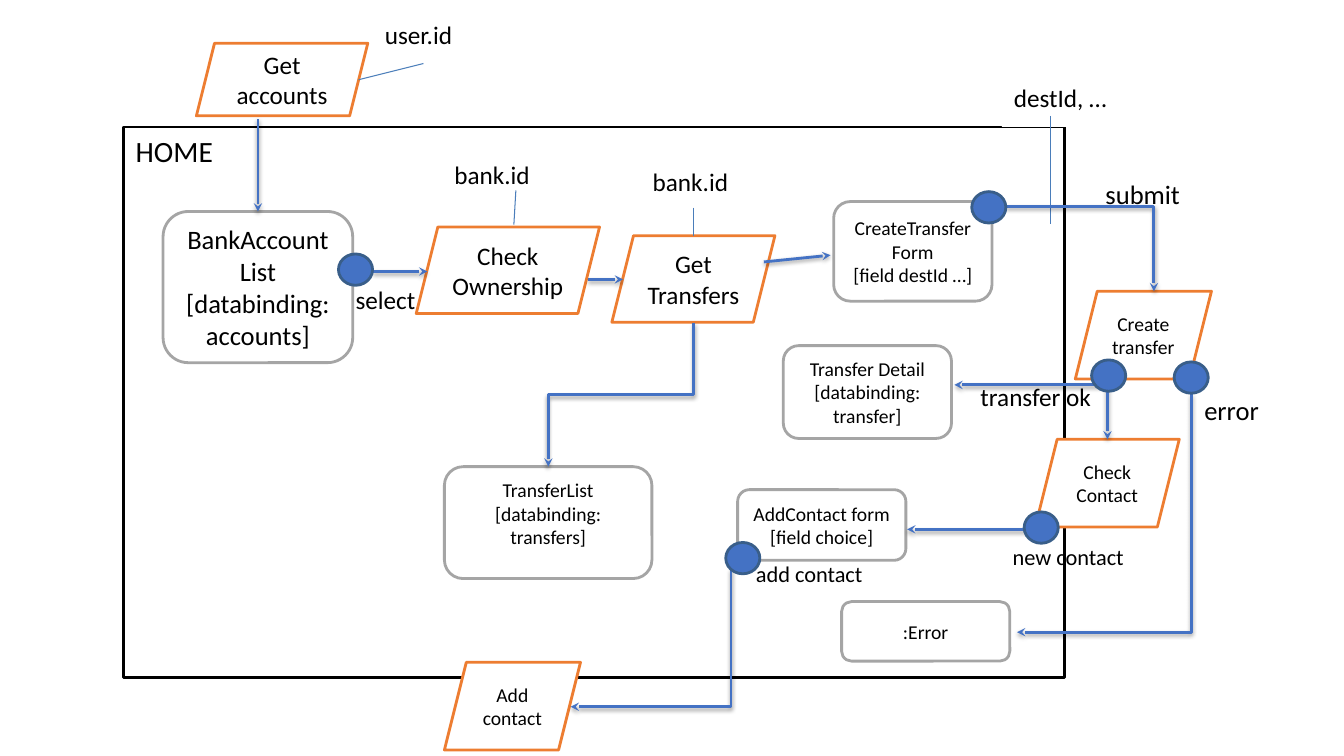
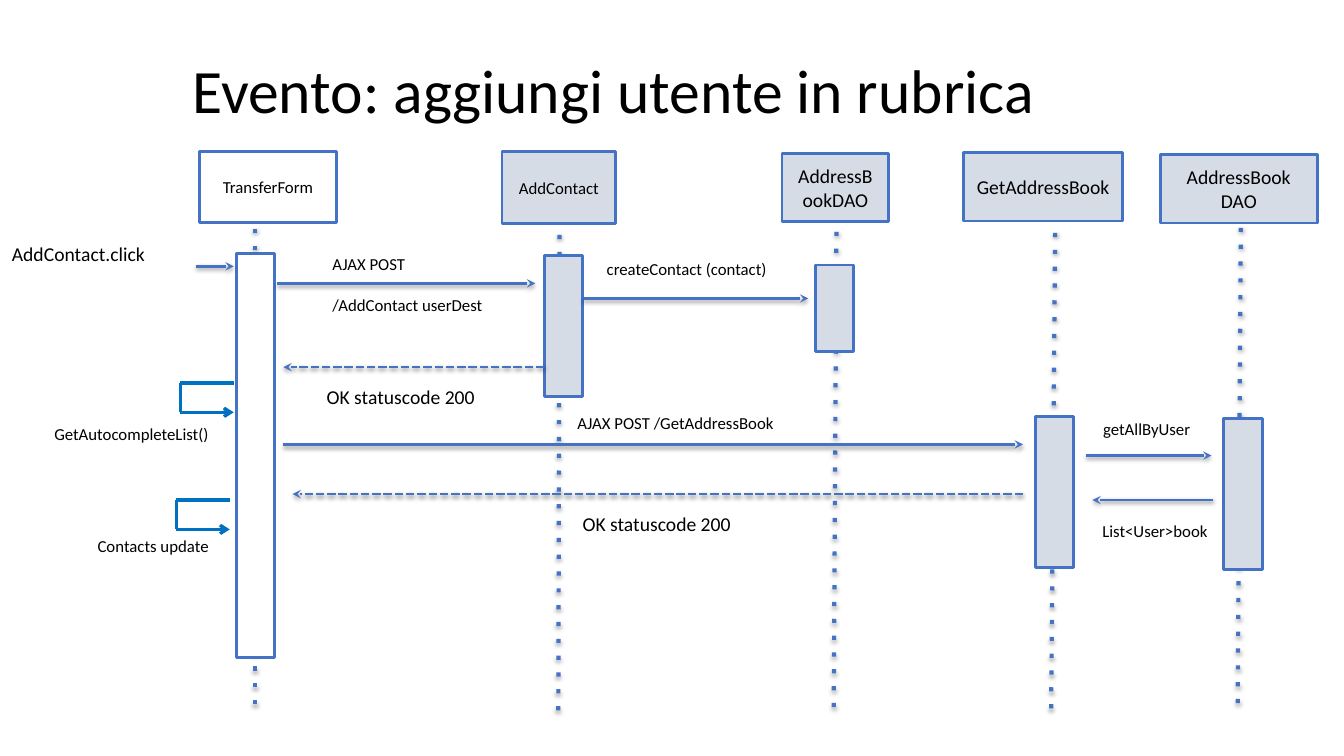
from lxml import etree
from pptx import Presentation
from pptx.dml.color import RGBColor
from pptx.enum.shapes import MSO_CONNECTOR, MSO_SHAPE
from pptx.enum.text import MSO_ANCHOR, PP_ALIGN
from pptx.oxml.ns import qn
from pptx.util import Cm, Pt

RECT, ROUNDED = MSO_SHAPE.RECTANGLE, MSO_SHAPE.ROUNDED_RECTANGLE
SLANTED, OVAL = MSO_SHAPE.PARALLELOGRAM, MSO_SHAPE.OVAL
STRAIGHT, ELBOW = MSO_CONNECTOR.STRAIGHT, MSO_CONNECTOR.ELBOW
TOP, MIDDLE = MSO_ANCHOR.TOP, MSO_ANCHOR.MIDDLE
LEFT, CENTER = PP_ALIGN.LEFT, PP_ALIGN.CENTER

FONT = "Calibri"
BLACK, WHITE, PALE = "000000", "FFFFFF", "D6DCE5"
BLUE, NAVY, THIN_BLUE, CALL_BLUE = "4472C4", "395E89", "4A7DBA", "0070C0"
ORANGE, GREY = "ED7D31", "A5A5A5"
FRAME = {
    "word_wrap": True,
    "margin_left": Cm(0.3),
    "margin_right": Cm(0.3),
    "margin_top": Cm(0.15),
    "margin_bottom": Cm(0.15),
}


def color(value):
    return RGBColor.from_string(value)


def assign(target, values):
    for name, value in values.items():
        setattr(target, name, value)


class Diagram:
    """Holds the deck style and draws elements on the current page."""

    def __init__(self):
        self.deck = Presentation()
        assign(self.deck, {"slide_width": Cm(33.87), "slide_height": Cm(19.05)})
        self.page = None

    def new_page(self):
        self.page = self.deck.slides.add_slide(self.deck.slide_layouts[6])

    def fill_text(self, box, text, size, align, anchor, gap=0, spacing=1.0):
        frame = box.text_frame
        assign(frame, {**FRAME, "vertical_anchor": anchor})
        for index, line in enumerate(text.split("\n")):
            para = frame.add_paragraph() if index else frame.paragraphs[0]
            assign(para, {
                "alignment": align,
                "line_spacing": spacing,
                "space_before": Pt(gap if index else 0),
            })
            span = para.add_run()
            span.text = line
            assign(span.font, {"name": FONT, "size": Pt(size)})
            span.font.color.rgb = color(BLACK)

    def label(self, text, left, top, width, height=1, size=18, align=LEFT,
              anchor=TOP, fill=None, **spacing):
        box = self.page.shapes.add_textbox(Cm(left), Cm(top), Cm(width), Cm(height))
        if fill:
            box.fill.solid()
            box.fill.fore_color.rgb = color(fill)
        self.fill_text(box, text, size, align, anchor, **spacing)

    def shape(self, kind, area, line, fill=WHITE, text="", size=14,
              align=CENTER, anchor=MIDDLE):
        box = self.page.shapes.add_shape(kind, *(Cm(length) for length in area))
        box.shadow.inherit = False
        box.fill.solid()
        box.fill.fore_color.rgb = color(fill)
        box.line.color.rgb = color(line)
        box.line.width = Pt(2)
        if text:
            self.fill_text(box, text, size, align, anchor)

    def connector(self, kind, start, end, line=BLUE, width=2, dash=None,
                  head=None, shadow=False):
        link = self.page.shapes.add_connector(
            kind, *(Cm(length) for length in (*start, *end)))
        link.line.color.rgb = color(line)
        link.line.width = Pt(width)
        outline = link.line._get_or_add_ln()
        if dash:
            etree.SubElement(outline, qn("a:prstDash"), val=dash)
        if head:
            etree.SubElement(outline, qn("a:tailEnd"), type=head)
        properties = link._element.spPr
        effects = etree.SubElement(properties, qn("a:effectLst"))
        if shadow:
            outer = etree.SubElement(
                effects, qn("a:outerShdw"), blurRad=str(Pt(3.1)),
                dist=str(Pt(1.6)), dir="5400000", rotWithShape="0")
            tone = etree.SubElement(outer, qn("a:srgbClr"), val=BLACK)
            etree.SubElement(tone, qn("a:alpha"), val="38000")
        return link

    def arrow(self, start, end, dash=None):
        self.connector(STRAIGHT, start, end, dash=dash, head="stealth", shadow=True)

    def elbow(self, start, end, preset, downward):
        if downward:
            middle_x, middle_y = (start[0] + end[0]) / 2, (start[1] + end[1]) / 2
            half_x, half_y = abs(end[0] - start[0]) / 2, abs(end[1] - start[1]) / 2
            start = middle_x - half_y, middle_y - half_x
            end = middle_x + half_y, middle_y + half_x
        link = self.connector(ELBOW, start, end, head="stealth", shadow=True)
        link._element.spPr.find(qn("a:prstGeom")).set("prst", preset)
        if downward:
            link.rotation = 90

    def self_call(self, x, y):
        back, below = x - 1.35, y + 0.74
        corners = [(x, y), (back, y), (back, below), (x, below)]
        for start, end, head in zip(corners, corners[1:], (None, None, "arrow")):
            self.connector(STRAIGHT, start, end, CALL_BLUE, 2.25, head=head)


def draw_flow(diagram):
    diagram.new_page()
    diagram.shape(RECT, (3.12, 3.2, 23.7, 13.87), BLACK, text="HOME", size=21,
                  align=LEFT, anchor=TOP)
    for text, left, top, width in [
        ("bank.id", 16.15, 4.04, 3.53),
        ("bank.id", 11.15, 3.86, 3.53),
        ("destId, …", 25.25, 1.93, 3),
    ]:
        diagram.label(text, left, top, width, 1.27, fill=WHITE)

    for text, area, size, anchor in [
        ("BankAccountList\n[databinding: accounts]", (4.11, 5.33, 4.78, 3.81), 19, MIDDLE),
        ("TransferList\n[databinding: transfers]", (11.2, 11.76, 5.23, 2.82), 14, TOP),
        ("CreateTransfer Form\n[field destId …]", (21.01, 5.08, 3.99, 2.51), 14, MIDDLE),
        ("AddContact form\n[field choice]", (18.59, 12.34, 4.24, 1.78), 14, MIDDLE),
        ("Transfer Detail\n[databinding: transfer]", (19.74, 8.71, 4.24, 2.34), 14, MIDDLE),
        (":Error", (21.21, 15.16, 4.24, 1.5), 14, MIDDLE),
    ]:
        diagram.shape(ROUNDED, area, GREY, text=text, size=size, anchor=anchor)

    for text, area, size in [
        ("Get accounts", (4.95, 1.09, 4.32, 1.83), 18),
        ("Check Ownership", (10.49, 5.72, 4.62, 2.18), 18),
        ("Get Transfers", (15.42, 5.94, 4.11, 2.18), 18),
        ("Create transfer", (27.1, 7.34, 3.43, 2.21), 14),
        ("Check Contact", (26.09, 11.07, 3.63, 2.21), 14),
        ("Add contact", (11.2, 16.69, 3.43, 2.21), 14),
    ]:
        diagram.shape(SLANTED, area, ORANGE, text=text, size=size)

    for start, end in [
        ((17.48, 5.23), (17.48, 5.94)),
        ((10.67, 1.6), (9.04, 2.01)),
        ((26.47, 2.92), (26.47, 5.64)),
        ((13, 4.8), (12.95, 5.66)),
    ]:
        diagram.connector(STRAIGHT, start, end, THIN_BLUE, 0.75)

    for start, end in [
        ((6.5, 3), (6.5, 5.33)),
        ((9.4, 6.84), (10.77, 6.84)),
        ((14.83, 7.04), (15.7, 7.04)),
        ((19.25, 6.6), (20.93, 6.43)),
        ((27.79, 9.7), (24.05, 9.7)),
        ((27.91, 9.68), (27.91, 11.07)),
        ((26.31, 13.34), (22.86, 13.34)),
    ]:
        diagram.arrow(start, end)
    for start, end, preset, downward in [
        ((17.48, 8.13), (13.82, 11.76), "bentConnector3", True),
        ((25.35, 5.21), (29.08, 7.34), "bentConnector2", False),
        ((30.02, 9.93), (25.63, 15.93), "bentConnector2", True),
        ((18.42, 14.35), (14.38, 17.81), "bentConnector2", True),
    ]:
        diagram.elbow(start, end, preset, downward)

    for left, top in [(8.53, 6.4), (24.49, 4.83), (27.51, 9.07),
                      (29.59, 9.12), (25.81, 12.9), (18.29, 13.67)]:
        diagram.shape(OVAL, (left, top, 0.86, 0.79), NAVY, BLUE)

    for text, left, top, width, size in [
        ("user.id", 9.4, 0.33, 2.54, 18),
        ("submit", 27.56, 4.34, 3, 19),
        ("select", 8.66, 7.01, 2.51, 18),
        ("transfer ok", 24.41, 9.47, 4.37, 18),
        ("error", 30.05, 9.78, 2.51, 19),
        ("new contact", 25.22, 13.54, 4.9, 16),
        ("add contact", 18.75, 13.97, 4.9, 16),
    ]:
        diagram.label(text, left, top, width, size=size)


def draw_sequence(diagram):
    diagram.new_page()
    diagram.label("Evento: aggiungi utente in rubrica", 4.55, 0.76, 24.77, 3.18,
                  size=44, anchor=MIDDLE, spacing=0.9)

    for name, size, fill, head, life, bar in [
        ("TransferForm", 12, WHITE, (5.03, 3.81, 3.45, 1.8),
         (6.43, 5.77, 6.43, 18.06), (5.97, 6.38, 0.94, 10.19)),
        ("AddContact", 12, PALE, (12.65, 3.81, 2.87, 1.83),
         (14.1, 5.92, 14.07, 18.14), (13.72, 6.43, 0.97, 3.56)),
        ("AddressBookDAO", 14, PALE, (19.71, 3.86, 2.69, 1.73),
         (21.08, 5.84, 21.01, 17.91), (20.55, 6.68, 0.97, 2.18)),
        ("GetAddressBook", 14, PALE, (24.29, 3.84, 4, 1.73),
         (26.59, 5.87, 26.49, 17.93), (26.09, 10.49, 0.97, 3.81)),
        ("AddressBook\nDAO", 14, PALE, (29.24, 3.89, 3.96, 1.73),
         (31.27, 5.74, 31.19, 17.81), (30.84, 10.54, 0.97, 3.81)),
    ]:
        diagram.shape(RECT, head, BLUE, fill, name, size)
        diagram.connector(STRAIGHT, life[:2], life[2:], width=3, dash="dot", shadow=True)
        diagram.shape(RECT, bar, BLUE, fill)

    for start, end, y, dash in [
        (4.95, 5.89, 6.71, None),
        (6.99, 13.49, 7.14, None),
        (14.71, 20.37, 7.52, None),
        (13.72, 7.14, 9.25, "sysDash"),
        (7.14, 25.78, 11.2, None),
        (25.78, 7.37, 12.45, "sysDash"),
        (27.38, 30.53, 11.48, None),
        (30.58, 27.53, 12.6, None),
    ]:
        diagram.arrow((start, y), (end, y), dash)
    for x, y in [(5.89, 9.65), (5.79, 12.6)]:
        diagram.self_call(x, y)

    for text, left, top, width, size, align in [
        ("AddContact.click", 0, 5.94, 4.19, 14, LEFT),
        ("AJAX POST\n/AddContact userDest", 8.08, 6.25, 6.35, 12, LEFT),
        ("createContact (contact)", 14.99, 6.38, 6.35, 12, LEFT),
        ("OK statuscode 200", 7.37, 9.55, 5.46, 14, CENTER),
        ("GetAutocompleteList()", 1.07, 10.52, 4.75, 12, LEFT),
        ("AJAX POST /GetAddressBook", 14.25, 10.26, 6.35, 12, LEFT),
        ("getAllByUser", 27.5, 10.41, 5.8, 12, LEFT),
        ("OK statuscode 200", 13.82, 12.75, 5.46, 14, CENTER),
        ("List<User>book", 27.48, 12.98, 5.8, 12, LEFT),
        ("Contacts update", 2.16, 13.36, 4.75, 12, LEFT),
    ]:
        diagram.label(text, left, top, width, size=size, align=align, gap=14.6)


def main():
    diagram = Diagram()
    draw_flow(diagram)
    draw_sequence(diagram)
    diagram.deck.save("out.pptx")


if __name__ == "__main__":
    main()
